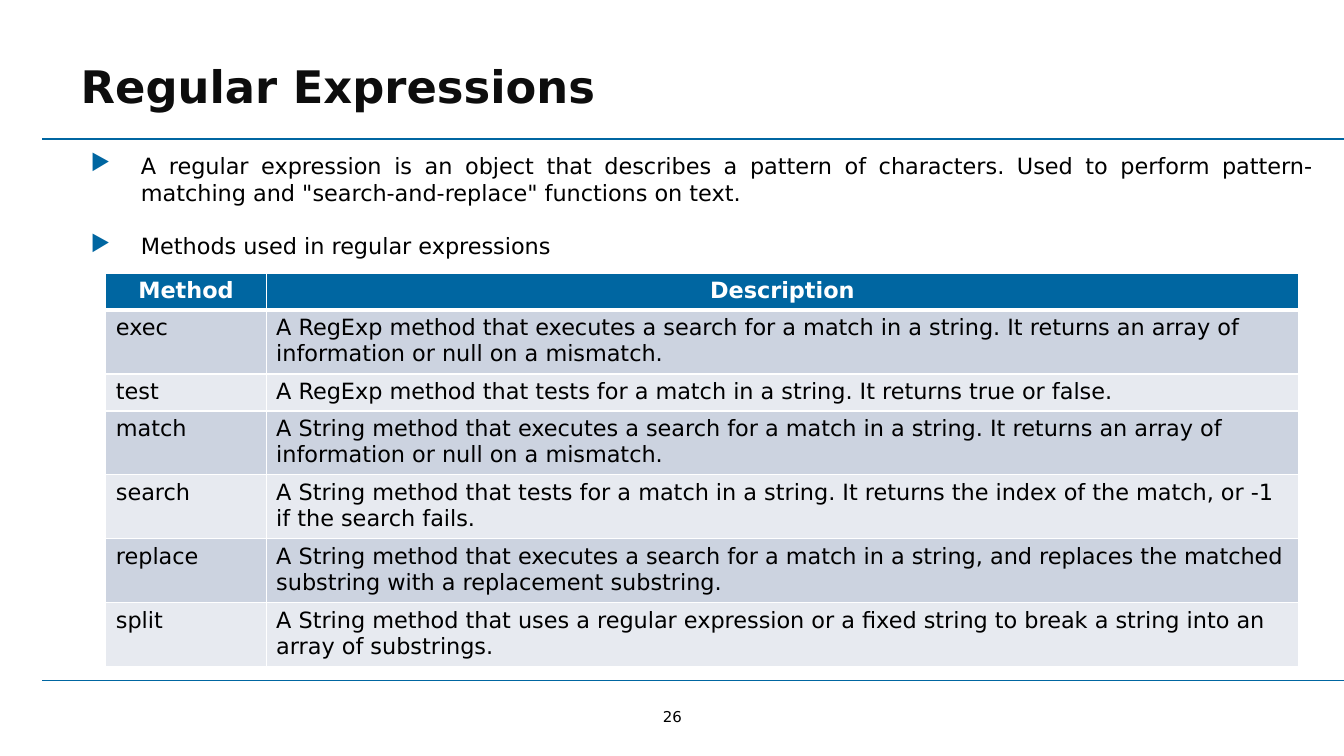
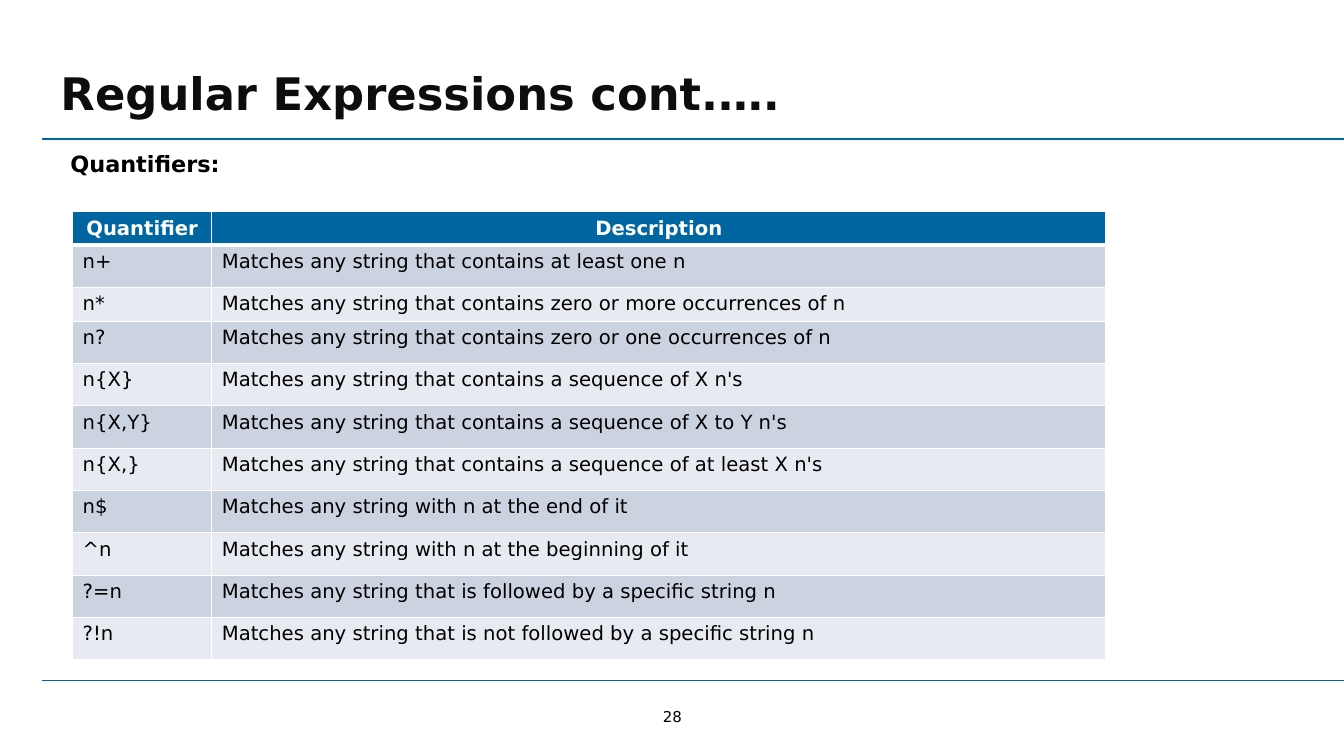
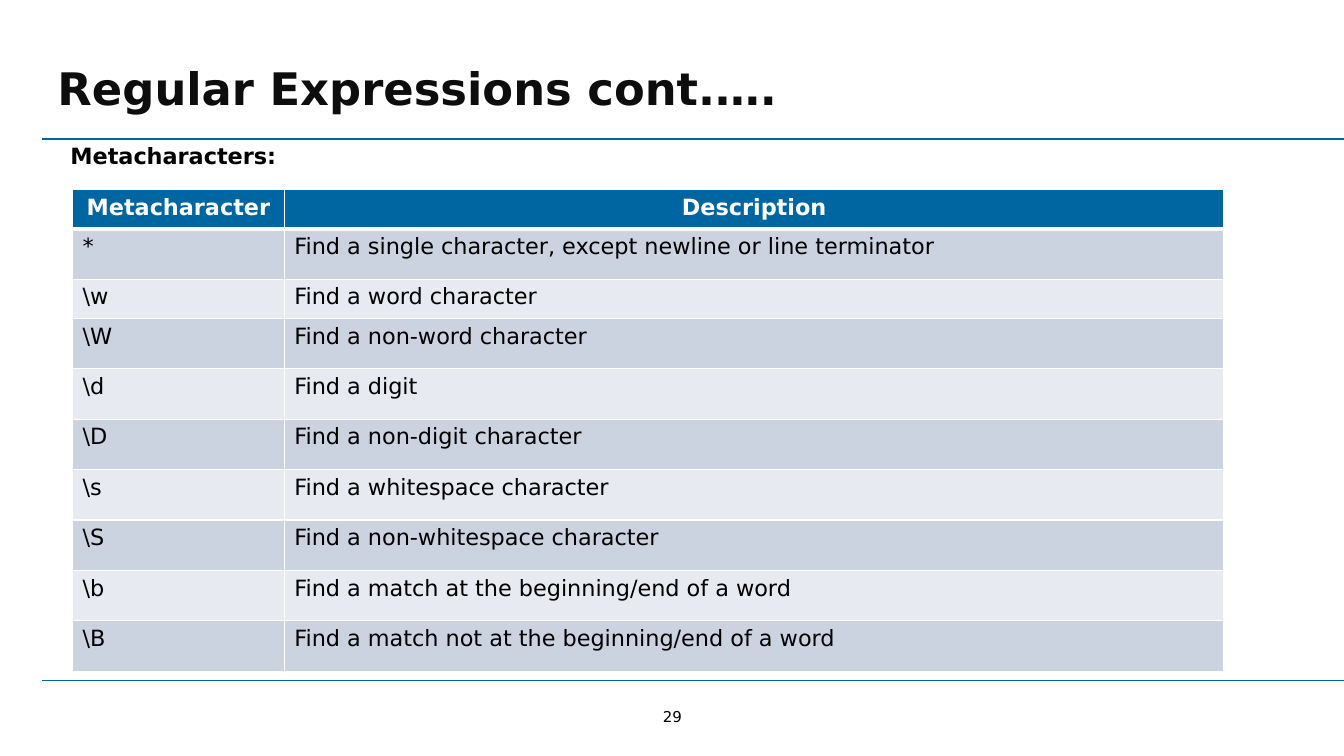
from lxml.etree import SubElement
from pptx import Presentation
from pptx.dml.color import RGBColor
from pptx.enum.shapes import MSO_CONNECTOR
from pptx.enum.text import MSO_ANCHOR, MSO_AUTO_SIZE, PP_ALIGN
from pptx.oxml import parse_xml
from pptx.oxml.ns import nsdecls, qn
from pptx.util import Inches, Pt

BLUE = RGBColor(0x00, 0x66, 0xA1)
INK = RGBColor(0x0D, 0x0D, 0x0D)
BLACK = RGBColor(0x00, 0x00, 0x00)
WHITE = RGBColor(0xFF, 0xFF, 0xFF)
DARK_BAND = RGBColor(0xCC, 0xD3, 0xE0)
LIGHT_BAND = RGBColor(0xE7, 0xEA, 0xF0)

FONT = "DejaVu Sans"
SLIDE_WIDTH, SLIDE_HEIGHT = 13.33, 7.5
RULE_LEFT, RULE_TOPS = 0.42, (1.38, 6.75)
BULLET_INDENT = Inches(0.5)
SHORT_ROWS = (0, 2)

METHODS = [
    ("Method", "Description"),
    ("exec", "A RegExp method that executes a search for a match in a string. "
             "It returns an array of information or null on a mismatch."),
    ("test", "A RegExp method that tests for a match in a string. It returns true or false."),
    ("match", "A String method that executes a search for a match in a string. "
              "It returns an array of information or null on a mismatch."),
    ("search", "A String method that tests for a match in a string. "
               "It returns the index of the match, or -1 if the search fails."),
    ("replace", "A String method that executes a search for a match in a string, "
                "and replaces the matched substring with a replacement substring."),
    ("split", "A String method that uses a regular expression or a fixed string "
              "to break a string into an array of substrings."),
]
QUANTIFIERS = [
    ("Quantifier", "Description"),
    ("n+", "Matches any string that contains at least one n"),
    ("n*", "Matches any string that contains zero or more occurrences of n"),
    ("n?", "Matches any string that contains zero or one occurrences of n"),
    ("n{X}", "Matches any string that contains a sequence of X n's"),
    ("n{X,Y}", "Matches any string that contains a sequence of X to Y n's"),
    ("n{X,}", "Matches any string that contains a sequence of at least X n's"),
    ("n$", "Matches any string with n at the end of it"),
    ("^n", "Matches any string with n at the beginning of it"),
    ("?=n", "Matches any string that is followed by a specific string n"),
    ("?!n", "Matches any string that is not followed by a specific string n"),
]
METACHARACTERS = [
    ("Metacharacter", "Description"),
    ("*", "Find a single character, except newline or line terminator"),
    (r"\w", "Find a word character"),
    (r"\W", "Find a non-word character"),
    (r"\d", "Find a digit"),
    (r"\D", "Find a non-digit character"),
    (r"\s", "Find a whitespace character"),
    (r"\S", "Find a non-whitespace character"),
    (r"\b", "Find a match at the beginning/end of a word"),
    (r"\B", "Find a match not at the beginning/end of a word"),
]


class Deck:
    """Holds the shared style and the slide being filled."""

    def __init__(self):
        self.prs = Presentation()
        self.prs.slide_width = Inches(SLIDE_WIDTH)
        self.prs.slide_height = Inches(SLIDE_HEIGHT)
        self.slide = None

    def start_slide(self, title, left, top, number):
        self.slide = self.prs.slides.add_slide(self.prs.slide_layouts[5])
        heading = self.slide.shapes.title
        heading.left, heading.top = Inches(left), Inches(top)
        heading.width, heading.height = Inches(11), Inches(0.64)
        frame = heading.text_frame
        frame.text = title
        frame.auto_size = MSO_AUTO_SIZE.NONE
        frame.vertical_anchor = MSO_ANCHOR.TOP
        self.style(frame.paragraphs[0], 32, INK, bold=True)
        for rule_top in RULE_TOPS:
            self.rule(rule_top)
        self.page_number(number)

    def style(self, paragraph, size, color=BLACK, bold=False, align=PP_ALIGN.LEFT):
        paragraph.alignment = align
        for run in paragraph.runs:
            run.font.name = FONT
            run.font.size = Pt(size)
            run.font.bold = bold
            run.font.color.rgb = color

    def rule(self, top):
        line = self.slide.shapes.add_connector(
            MSO_CONNECTOR.STRAIGHT, Inches(RULE_LEFT), Inches(top),
            Inches(SLIDE_WIDTH), Inches(top))
        line.line.color.rgb = BLUE
        line.line.width = Pt(1.25)
        SubElement(line._element.spPr, qn("a:effectLst"))

    def text_box(self, text, left, top, width, height):
        box = self.slide.shapes.add_textbox(
            Inches(left), Inches(top), Inches(width), Inches(height))
        frame = box.text_frame
        frame.word_wrap = True
        frame.text = text
        return frame

    def page_number(self, number):
        frame = self.text_box(str(number), 6.54, 7.02, 0.26, 0.18)
        frame.margin_left = frame.margin_right = 0
        frame.margin_top = frame.margin_bottom = 0
        frame.word_wrap = False
        frame.vertical_anchor = MSO_ANCHOR.MIDDLE
        self.style(frame.paragraphs[0], 10.7, align=PP_ALIGN.CENTER)

    def subheading(self, text, top):
        frame = self.text_box(text, 0.6, top, 11.79, 0.37)
        self.style(frame.paragraphs[0], 16, bold=True)

    def bullets(self, items, left, top, width, height):
        frame = self.text_box("\n".join(items), left, top, width, height)
        for index, paragraph in enumerate(frame.paragraphs):
            self.style(paragraph, 16, align=PP_ALIGN.JUSTIFY)
            if index:
                paragraph.space_before = Pt(19)
            props = paragraph._p.get_or_add_pPr()
            props.set("marL", str(BULLET_INDENT))
            props.set("indent", str(-BULLET_INDENT))
            color = SubElement(props, qn("a:buClr"))
            SubElement(color, qn("a:srgbClr")).set("val", str(BLUE))
            SubElement(props, qn("a:buChar")).set("char", "▶")

    def table(self, rows, left, top, widths, short, tall, size=16):
        """Draw a banded table; SHORT_ROWS get the short height, the rest the tall one."""
        heights = [short if i in SHORT_ROWS else tall for i in range(len(rows))]
        table = self.slide.shapes.add_table(
            len(rows), len(widths), Inches(left), Inches(top),
            Inches(sum(widths)), Inches(sum(heights))).table
        for column, width in zip(table.columns, widths):
            column.width = Inches(width)
        for r, (row, height) in enumerate(zip(rows, heights)):
            table.rows[r].height = Inches(height)
            for c, text in enumerate(row):
                self.cell(table.cell(r, c), text, r, size)

    def cell(self, cell, text, row, size):
        header = row == 0
        cell.text_frame.text = text
        self.style(cell.text_frame.paragraphs[0], size,
                   WHITE if header else BLACK, header,
                   PP_ALIGN.CENTER if header else PP_ALIGN.LEFT)
        cell.fill.solid()
        band = DARK_BAND if row % 2 else LIGHT_BAND
        cell.fill.fore_color.rgb = BLUE if header else band
        edges = {"lnL": 1, "lnR": 1, "lnT": 3 if row == 1 else 1, "lnB": 3 if header else 1}
        for position, (edge, points) in enumerate(edges.items()):
            border = parse_xml(
                f'<a:{edge} {nsdecls("a")} w="{Pt(points)}"><a:solidFill>'
                f'<a:srgbClr val="{WHITE}"/></a:solidFill></a:{edge}>')
            cell._tc.get_or_add_tcPr().insert(position, border)


def main():
    deck = Deck()

    deck.start_slide("Regular Expressions", 0.7, 0.53, 26)
    deck.bullets([
        "A regular expression is an object that describes a pattern of characters. "
        "Used to perform pattern-matching and \"search-and-replace\" functions on text.",
        "Methods used in regular expressions",
    ], 0.8, 1.46, 12.33, 1.18)
    deck.table(METHODS, 1.05, 2.71, (1.59, 10.24), 0.36, 0.63)

    deck.start_slide("Regular Expressions cont.….", 0.5, 0.6, 28)
    deck.subheading("Quantifiers:", 1.44)
    deck.table(QUANTIFIERS, 0.72, 2.1, (1.38, 8.87), 0.33, 0.42, size=14)

    deck.start_slide("Regular Expressions cont.….", 0.47, 0.55, 29)
    deck.subheading("Metacharacters:", 1.36)
    deck.table(METACHARACTERS, 0.72, 1.88, (2.1, 9.32), 0.39, 0.5)

    deck.prs.save("out.pptx")


if __name__ == "__main__":
    main()
